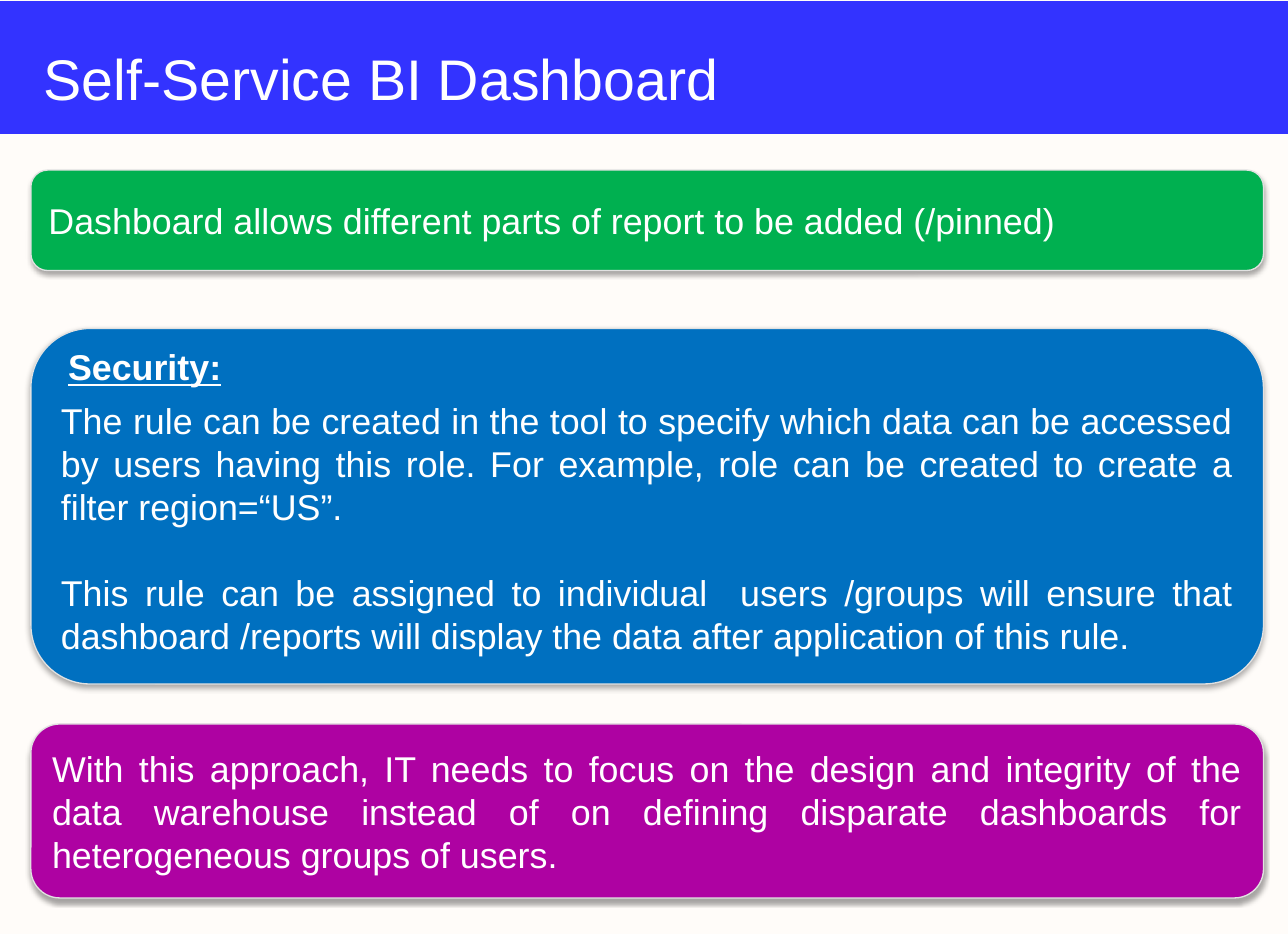
from lxml.etree import SubElement
from pptx import Presentation
from pptx.dml.color import RGBColor
from pptx.enum.shapes import MSO_SHAPE as SHAPE
from pptx.enum.text import MSO_ANCHOR as ANCHOR, MSO_AUTO_SIZE as AUTO, PP_ALIGN as ALIGN
from pptx.oxml.ns import qn
from pptx.util import Emu, Pt

PX = 9144
WIDTH, HEIGHT = 1000, 725
LEFT, BOX_W = 24, 957
LINE_PX, LINE_PT = 33, 24
COLORS = {
    "background": "FFFCF9",
    "band": "3333FF",
    "green": "00B050",
    "blue": "0070C0",
    "purple": "AE02A2",
    "outline": "E1E1E1",
    "text": "FFFFFF",
    "shadow": "000000",
}


def px(n):
    """Turn pixels into EMU."""
    return Emu(n * PX)


def rgb(name):
    """Look up a named colour."""
    return RGBColor.from_string(COLORS[name])


def place(sp, box):
    """Move a shape to a left, top, width, height box."""
    sp.left, sp.top, sp.width, sp.height = map(px, box)


def write(tf, *texts, size=20, align=ALIGN.LEFT, anchor=ANCHOR.TOP, bold=None, underline=None, gap=0):
    """Fill a text frame with one formatted paragraph per text."""
    tf.word_wrap = True
    tf.vertical_anchor = anchor
    for i, text in enumerate(texts):
        p = tf.add_paragraph() if i else tf.paragraphs[0]
        p.alignment = align
        p.space_before = Pt(gap if i else 0)
        r = p.add_run()
        r.text = text
        f = r.font
        f.name, f.size, f.bold, f.underline = "Arial", Pt(size), bold, underline
        f.color.rgb = rgb("text")


def add_shadow(sp):
    """Give a shape a soft shadow straight below it."""
    effects = sp.element.spPr.find(qn("a:effectLst"))
    shadow = SubElement(effects, qn("a:outerShdw"), blurRad=str(Pt(3.1)), dist=str(Pt(1.8)),
                        dir="5400000", rotWithShape="0")
    color = SubElement(shadow, qn("a:srgbClr"), val=COLORS["shadow"])
    SubElement(color, qn("a:alpha"), val="35000")


def add_block(s, kind, box, fill):
    """Add a plain filled shape."""
    sp = s.shapes.add_shape(kind, *map(px, box))
    sp.shadow.inherit = False
    sp.fill.solid()
    sp.fill.fore_color.rgb = rgb(fill)
    sp.line.fill.background()
    return sp


def add_header(s, box, text):
    """Lay the title placeholder over a coloured band."""
    x, y, w, h = box
    band = add_block(s, SHAPE.RECTANGLE, box, "band")
    title = s.shapes.title
    title.element.addprevious(band.element)
    place(title, (x + LEFT, y + 26, BOX_W, 60))
    tf = title.text_frame
    tf.auto_size = AUTO.NONE
    tf.margin_bottom = 0
    write(tf, text, size=32, anchor=ANCHOR.BOTTOM)


def add_card(s, box, fill, *texts, heading=None):
    """Add a rounded card of justified text, with an optional heading."""
    x, y, w, h = box
    sp = add_block(s, SHAPE.ROUNDED_RECTANGLE, box, fill)
    sp.line.color.rgb = rgb("outline")
    sp.line.width = Pt(0.75)
    add_shadow(sp)
    tf = sp.text_frame
    write(tf, *texts, align=ALIGN.JUSTIFY, anchor=ANCHOR.MIDDLE, gap=LINE_PT)
    if heading:
        tf.margin_top += px(LINE_PX)
        label = s.shapes.add_textbox(*map(px, (x + 19, y + 8, 283, 44)))
        write(label.text_frame, heading, bold=True, underline=True)


def main():
    """Build and save the slide."""
    prs = Presentation()
    prs.slide_width, prs.slide_height = px(WIDTH), px(HEIGHT)
    s = prs.slides.add_slide(prs.slide_layouts[5])
    s.background.fill.solid()
    s.background.fill.fore_color.rgb = rgb("background")

    add_header(s, (0, 1, WIDTH, 103), "Self-Service BI Dashboard")
    add_card(s, (LEFT, 132, BOX_W, 78), "green",
             "Dashboard allows different parts of report to be added (/pinned)")
    add_card(s, (LEFT, 255, BOX_W, 276), "blue",
             "The rule can be created in the tool to specify which data can be accessed by users "
             "having this role. For example, role can be created to create a filter region=“US”.",
             "This rule can be assigned to individual  users /groups will ensure that "
             "dashboard /reports will display the data after application of this rule.",
             heading="Security:")
    add_card(s, (LEFT, 562, BOX_W, 135), "purple",
             "With this approach, IT needs to focus on the design and integrity of the data warehouse "
             "instead of on defining disparate dashboards for heterogeneous groups of users.")
    prs.save("out.pptx")


if __name__ == "__main__":
    main()
